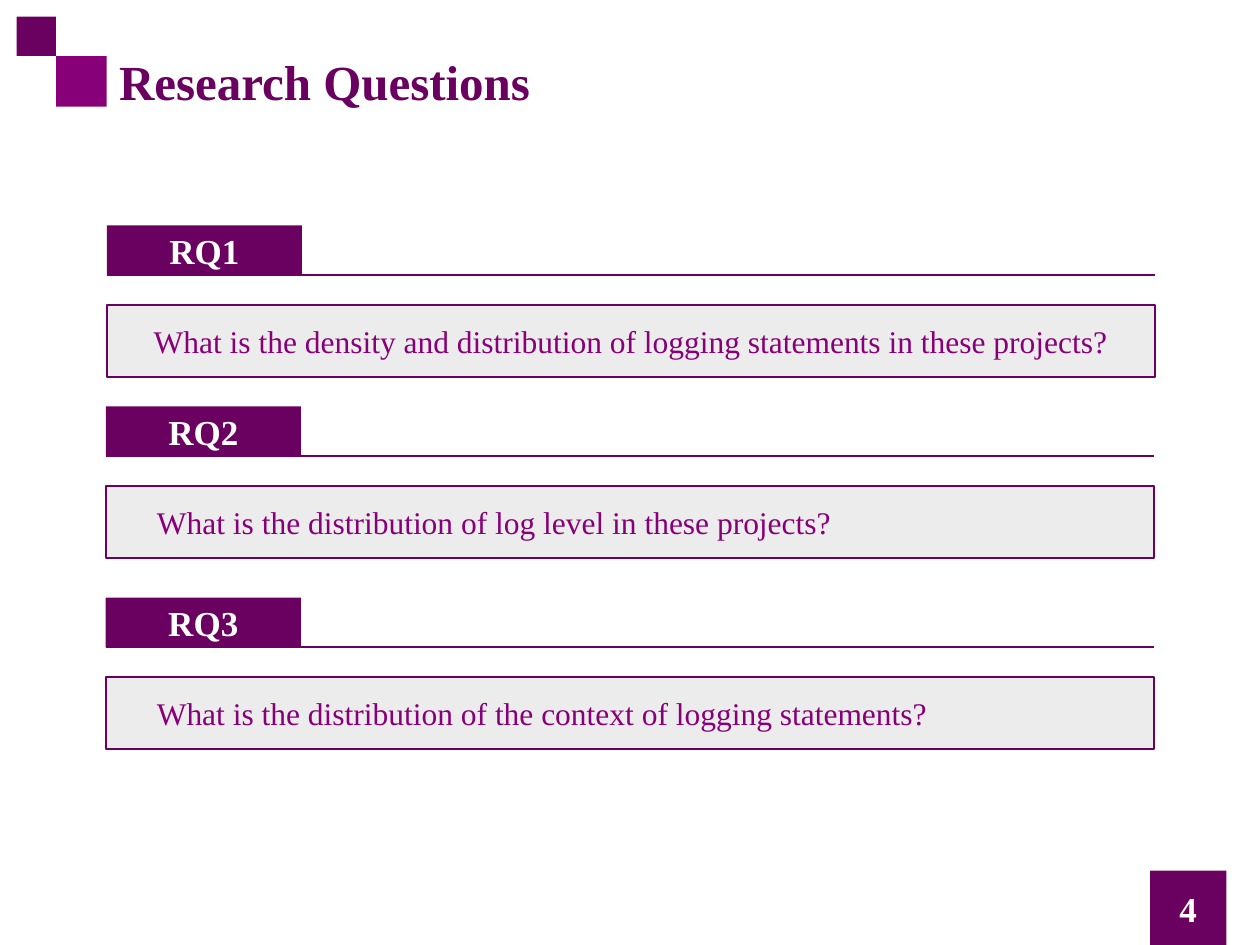
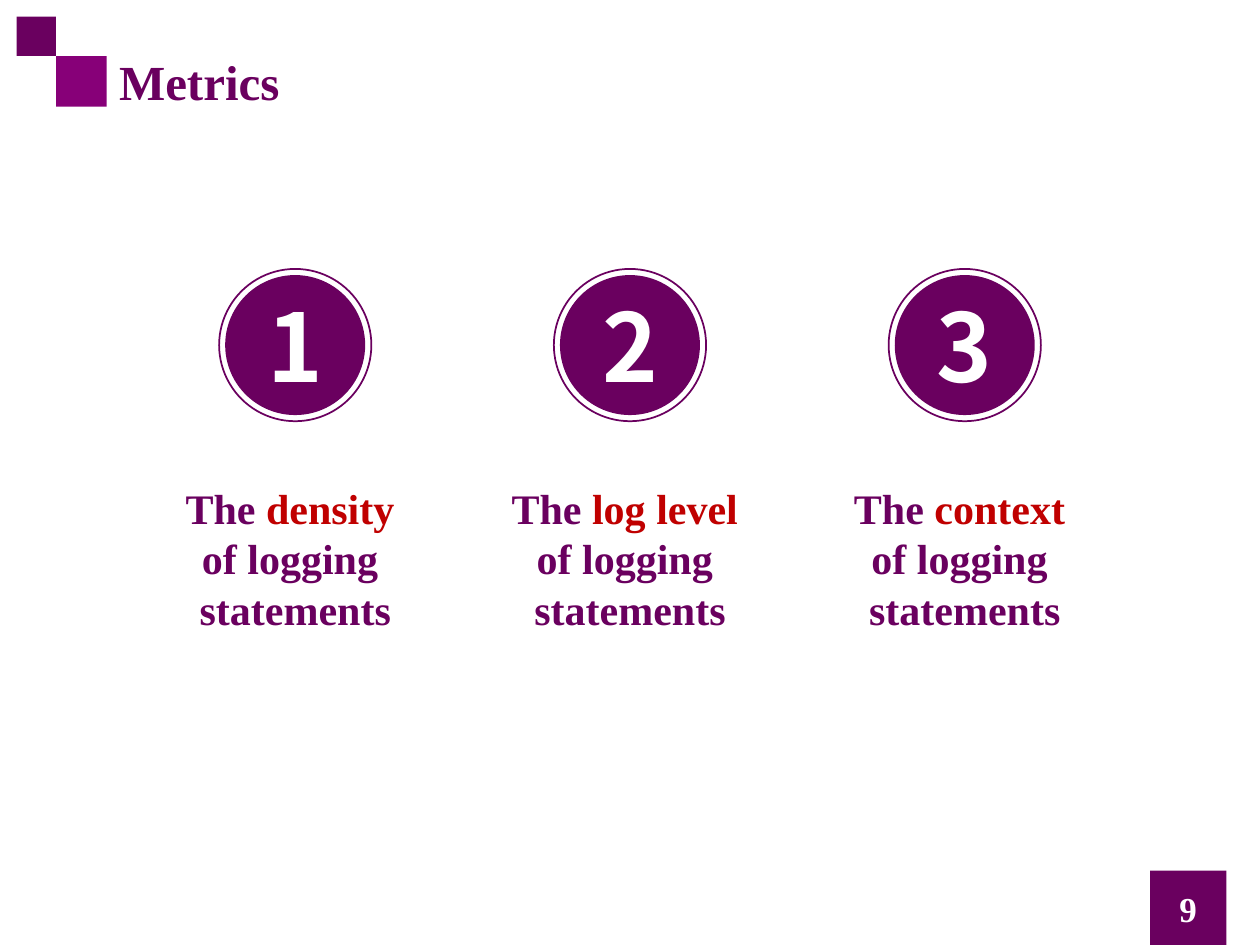
"""Build the research questions and metrics slides."""
from typing import NamedTuple

from lxml import etree
from pptx import Presentation
from pptx.dml.color import RGBColor
from pptx.enum.shapes import MSO_CONNECTOR, MSO_SHAPE
from pptx.enum.text import MSO_ANCHOR, PP_ALIGN
from pptx.oxml.ns import qn
from pptx.util import Pt

RECTANGLE, OVAL = MSO_SHAPE.RECTANGLE, MSO_SHAPE.OVAL
STRAIGHT = MSO_CONNECTOR.STRAIGHT
TOP, MIDDLE = MSO_ANCHOR.TOP, MSO_ANCHOR.MIDDLE
LEFT, CENTER = PP_ALIGN.LEFT, PP_ALIGN.CENTER

PLUM, PURPLE, RED = "6A005F", "870078", "C00000"
WHITE, GREY = "FFFFFF", "ECECEC"
SERIF, SANS = "Times New Roman", "Noto Sans CJK SC"


class Box(NamedTuple):
    """Position and size in points."""
    left: float
    top: float
    width: float
    height: float


class Style(NamedTuple):
    """Look of a run of text."""
    size: float
    color: str
    bold: bool = True
    font: str = SERIF


class Question(NamedTuple):
    """A research question with its tab position."""
    tag: str
    text: str
    left: float
    top: float
    align: PP_ALIGN = LEFT
    indent: float = 22


class Metric(NamedTuple):
    """A numbered metric and its highlighted word."""
    number: str
    keyword: str


TITLE = Style(28, PLUM)
TAG = Style(20, WHITE)
QUESTION = Style(18, PURPLE, bold=False)
NUMBER = Style(54, WHITE, font=SANS)
CAPTION = Style(24, PLUM)
KEYWORD = Style(24, RED)

QUESTIONS = [
    Question("RQ1", "What is the density and distribution of logging statements in these projects?",
             61, 128.8, CENTER, 0),
    Question("RQ2", "What is the distribution of log level in these projects?", 60.5, 232.2),
    Question("RQ3", "What is the distribution of the context of logging statements?", 60.4, 341.5),
]
METRICS = [Metric("1", "density "), Metric("2", "log level "), Metric("3", "context ")]

ROW_WIDTH, TAB_WIDTH, TAB_HEIGHT = 599, 111.5, 28.3
QUESTION_OFFSET, QUESTION_HEIGHT = 45.4, 41.2
FIRST_CENTER, METRIC_STEP, CIRCLE_MIDDLE = 168.7, 191.3, 197.2
DISC, RING = 80, 87
CAPTION_TOP, CAPTION_WIDTH, CAPTION_HEIGHT = 272.2, 170, 94.5


def rgb(color: str) -> RGBColor:
    """Turn a hex string into a colour."""
    return RGBColor.from_string(color)


def add_shape(slide, kind, box: Box, fill: str = "", line: str = ""):
    """Draw a preset shape, with fill and outline only where given."""
    shape = slide.shapes.add_shape(kind, *map(Pt, box))
    shape.shadow.inherit = False
    if fill:
        shape.fill.solid()
        shape.fill.fore_color.rgb = rgb(fill)
    else:
        shape.fill.background()
    if line:
        shape.line.color.rgb = rgb(line)
        shape.line.width = Pt(1)
    else:
        shape.line.fill.background()
    return shape


def write(shape, lines: list[list[tuple[str, Style]]], align=CENTER, anchor=MIDDLE,
          indent: float = 0) -> None:
    """Write lines of styled runs into a shape."""
    frame = shape.text_frame
    frame.word_wrap = True
    frame.vertical_anchor = anchor
    frame.margin_left = Pt(7.2 + indent)
    for index, line in enumerate(lines):
        paragraph = frame.paragraphs[0] if index == 0 else frame.add_paragraph()
        paragraph.alignment = align
        for text, style in line:
            run = paragraph.add_run()
            run.text = text
            run.font.name = style.font
            run.font.size = Pt(style.size)
            run.font.bold = style.bold
            run.font.color.rgb = rgb(style.color)
            if style.font != SERIF:
                east_asian = etree.SubElement(run.font._element, qn("a:ea"))
                east_asian.set("typeface", style.font)


def add_text(slide, box: Box, lines: list[list[tuple[str, Style]]], align=CENTER,
             anchor=MIDDLE) -> None:
    """Add a text box."""
    write(slide.shapes.add_textbox(*map(Pt, box)), lines, align, anchor)


def add_rule(slide, left: float, right: float, top: float) -> None:
    """Draw a horizontal rule without shadow."""
    rule = slide.shapes.add_connector(STRAIGHT, Pt(left), Pt(top), Pt(right), Pt(top))
    rule.line.color.rgb = rgb(PLUM)
    rule.line.width = Pt(1.5)
    etree.SubElement(rule._element.spPr, qn("a:effectLst"))


def add_page(deck, title: str, page: str):
    """Add a slide with the corner squares, title and page number."""
    slide = deck.slides.add_slide(deck.slide_layouts[6])
    add_shape(slide, RECTANGLE, Box(657.2, 497.5, 43.6, 42.5), PLUM)
    add_shape(slide, RECTANGLE, Box(32, 32, 29, 29), PURPLE)
    add_shape(slide, RECTANGLE, Box(9.5, 9.5, 22.5, 22.5), PLUM)
    add_text(slide, Box(638, 504.7, 82, 28.8), [[(page, TAG)]])
    add_text(slide, Box(61, 26, 640, 41), [[(title, TITLE)]], LEFT)
    return slide


def add_question(slide, item: Question) -> None:
    """Draw a tab on a rule with the question below."""
    tab = add_shape(slide, RECTANGLE, Box(item.left, item.top, TAB_WIDTH, TAB_HEIGHT), PLUM)
    write(tab, [[(item.tag, TAG)]])
    add_rule(slide, item.left, item.left + ROW_WIDTH, item.top + TAB_HEIGHT)
    panel = add_shape(slide, RECTANGLE, Box(item.left, item.top + QUESTION_OFFSET,
                                            ROW_WIDTH, QUESTION_HEIGHT), GREY, PLUM)
    write(panel, [[(item.text, QUESTION)]], item.align, indent=item.indent)


def circle_box(center: float, size: float) -> Box:
    """Place a circle around the shared middle line."""
    return Box(center - size / 2, CIRCLE_MIDDLE - size / 2, size, size)


def add_metric(slide, metric: Metric, center: float) -> None:
    """Draw a ringed number with its caption."""
    disc = add_shape(slide, OVAL, circle_box(center, DISC), PLUM)
    write(disc, [[(metric.number, NUMBER)]])
    add_shape(slide, OVAL, circle_box(center, RING), line=PLUM)
    caption = [[("The ", CAPTION), (metric.keyword, KEYWORD)],
               [("of logging ", CAPTION)],
               [("statements", CAPTION)]]
    add_text(slide, Box(center - CAPTION_WIDTH / 2, CAPTION_TOP, CAPTION_WIDTH, CAPTION_HEIGHT),
             caption, anchor=TOP)


def main() -> None:
    """Build and save the deck."""
    deck = Presentation()
    deck.slide_width, deck.slide_height = Pt(720), Pt(540)
    questions_slide = add_page(deck, "Research Questions", "4")
    for question in QUESTIONS:
        add_question(questions_slide, question)
    metrics_slide = add_page(deck, "Metrics", "9")
    for index, metric in enumerate(METRICS):
        add_metric(metrics_slide, metric, FIRST_CENTER + index * METRIC_STEP)
    deck.save("out.pptx")


if __name__ == "__main__":
    main()
